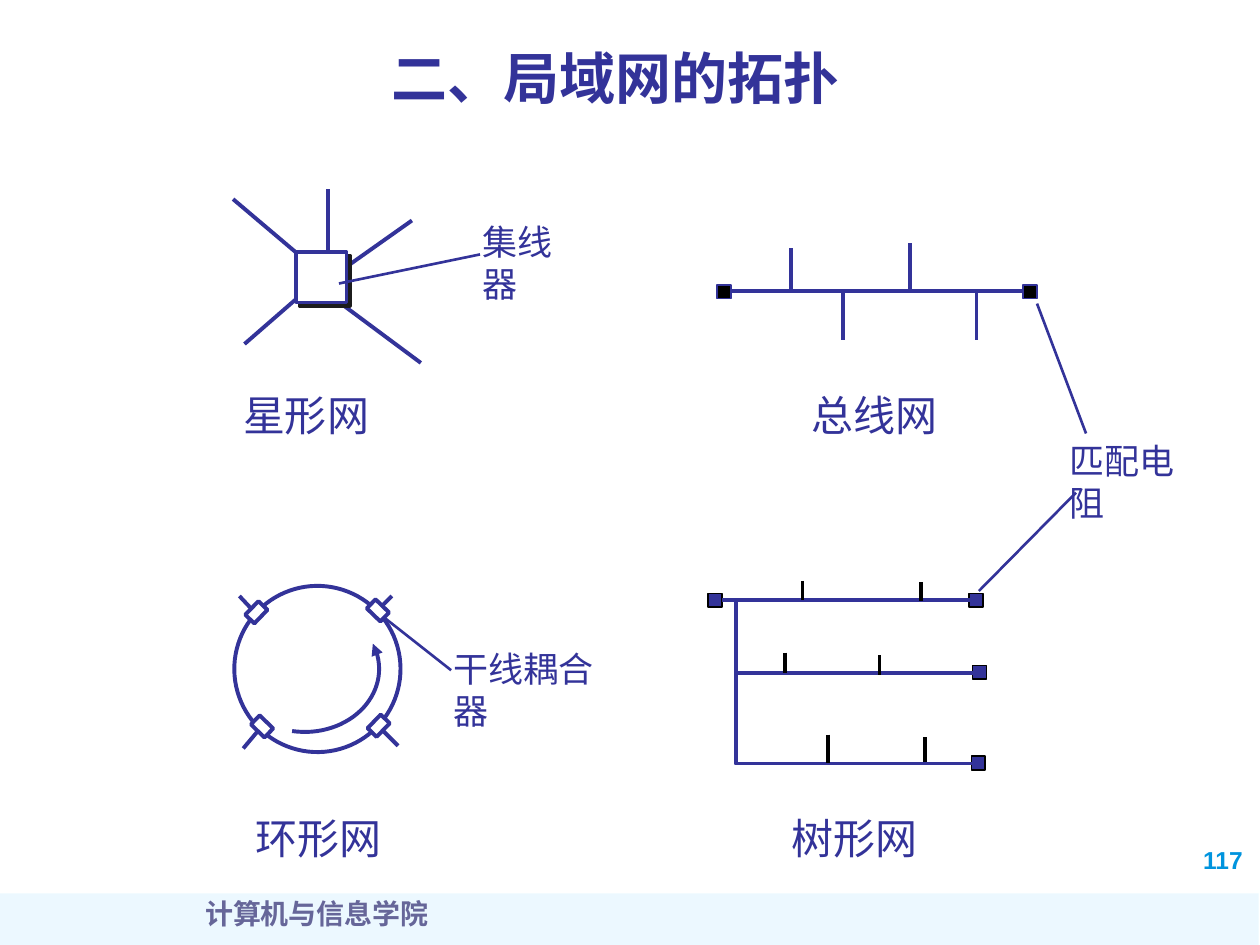
import math
from dataclasses import dataclass

import pptx
import pptx.dml.color
import pptx.enum.shapes
import pptx.enum.text
import pptx.oxml
import pptx.oxml.ns
import pptx.util
from lxml import etree

Pt = pptx.util.Pt
RGB = pptx.dml.color.RGBColor
SHAPE = pptx.enum.shapes.MSO_SHAPE
ALIGN = pptx.enum.text.PP_ALIGN
ANCHOR = pptx.enum.text.MSO_ANCHOR
qn = pptx.oxml.ns.qn

NAVY = RGB(0x33, 0x33, 0x99)
BLACK = RGB(0x00, 0x00, 0x00)
WHITE = RGB(0xFF, 0xFF, 0xFF)
BAND = RGB(0xA7, 0xE2, 0xFF)
SLATE = RGB(0x66, 0x66, 0x99)
SKY = RGB(0x00, 0x94, 0xDE)
SERIF, SANS, CJK = "Times New Roman", "Arial", "Noto Sans CJK SC"


@dataclass
class Line:
    x1: float
    y1: float
    x2: float
    y2: float
    width: float = 2.25
    color: RGB = NAVY


@dataclass
class Box:
    x: float
    y: float
    w: float
    h: float
    fill: RGB = WHITE
    line: RGB = NAVY
    width: float = 2.25
    rotation: float = 0
    kind: SHAPE = SHAPE.RECTANGLE


@dataclass
class Label:
    text: str
    x: float
    y: float
    w: float
    h: float
    size: float
    font: str = SERIF
    color: RGB = NAVY
    bold: bool = False
    align: ALIGN = ALIGN.LEFT
    right_inset: float = 7.2


def add_line(s, ln: Line):
    cx = s.shapes.add_connector(pptx.enum.shapes.MSO_CONNECTOR.STRAIGHT,
                                Pt(ln.x1), Pt(ln.y1), Pt(ln.x2), Pt(ln.y2))
    cx.line.color.rgb = ln.color
    cx.line.width = Pt(ln.width)
    etree.SubElement(cx._element.spPr, qn("a:effectLst"))


def add_box(s, b: Box):
    sp = s.shapes.add_shape(b.kind, Pt(b.x), Pt(b.y), Pt(b.w), Pt(b.h))
    sp.shadow.inherit = False
    sp.fill.solid()
    sp.fill.fore_color.rgb = b.fill
    sp.line.color.rgb = b.line
    sp.line.width = Pt(b.width)
    sp.rotation = b.rotation
    return sp


def format_text(tf, font: str, size: float, color: RGB, bold: bool, align: ALIGN):
    p = tf.paragraphs[0]
    p.alignment = align
    r = p.runs[0]
    r.font.name, r.font.size, r.font.bold = font, Pt(size), bold
    r.font.color.rgb = color
    etree.SubElement(r.font._element, qn("a:ea"), typeface=CJK)
    return r


def add_label(s, lb: Label):
    tf = s.shapes.add_textbox(Pt(lb.x), Pt(lb.y), Pt(lb.w), Pt(lb.h)).text_frame
    tf.word_wrap = True
    tf.margin_right = Pt(lb.right_inset)
    tf.text = lb.text
    format_text(tf, lb.font, lb.size, lb.color, lb.bold, lb.align)


def add_shadow(effects, blur: float, dist: float, color: RGB, alpha: int):
    shadow = etree.SubElement(effects, qn("a:outerShdw"), blurRad=str(Pt(blur)),
                              dist=str(Pt(dist)), dir="2700000", algn="tl", rotWithShape="0")
    clr = etree.SubElement(shadow, qn("a:srgbClr"), val=str(color))
    etree.SubElement(clr, qn("a:alpha"), val=str(alpha * 1000))


def add_arc_arrow(s, cx: float, cy: float, rx: float, ry: float, start: float, end: float):
    steps = 32
    angles = [math.radians(start + (end - start) * i / steps) for i in range(steps + 1)]
    pts = [(Pt(cx + rx * math.cos(a)), Pt(cy + ry * math.sin(a))) for a in angles]
    fb = s.shapes.build_freeform(*pts[0])
    fb.add_line_segments(pts[1:], close=False)
    sp = fb.convert_to_shape()
    sp.shadow.inherit = False
    sp.fill.background()
    sp.line.color.rgb = NAVY
    sp.line.width = Pt(2.25)
    etree.SubElement(sp.line._get_or_add_ln(), qn("a:tailEnd"), type="triangle")


def draw_frame(s):
    band = add_box(s, Box(-0.7, 510.5, 720, 31.7, fill=BAND))
    band.line.fill.background()
    clr = band._element.spPr.find(qn("a:solidFill"))[0]
    etree.SubElement(clr, qn("a:alpha"), val="21000")
    add_label(s, Label("117", 680.4, 479.5, 42.5, 23.8, 14, SANS, SKY, True))
    add_label(s, Label("计算机与信息学院", 19.4, 509, 323.3, 36, 16, SERIF, SLATE, True, ALIGN.CENTER))

    title = s.shapes.title
    title.left, title.top, title.width, title.height = Pt(76.3), Pt(17.3), Pt(558), Pt(54)
    tf = title.text_frame
    tf.text = "二、局域网的拓扑 "
    tf.vertical_anchor = ANCHOR.MIDDLE
    r = format_text(tf, SERIF, 32, NAVY, True, ALIGN.CENTER)
    effects = pptx.oxml.parse_xml(
        '<a:effectLst xmlns:a="http://schemas.openxmlformats.org/drawingml/2006/main"/>')
    add_shadow(effects, 1, 2, BLACK, 40)
    r.font._element.find(qn("a:solidFill")).addnext(effects)


def draw_star(s):
    for ends in [(175.7, 149.8, 133.2, 113.8), (187.2, 149.8, 187.2, 108),
                 (172.8, 167.8, 139.7, 196.6), (187.2, 167.8, 240.5, 207.4),
                 (193.7, 155.5, 235.4, 126)]:
        add_line(s, Line(*ends))
    hub = add_box(s, Box(169.2, 144, 28.8, 28.8, width=2))
    add_shadow(hub._element.spPr.find(qn("a:effectLst")), 0, 2.8, RGB(0x1C, 0x1C, 0x1C), 100)
    add_line(s, Line(193.7, 162, 274.3, 145.4, 1.5))


def draw_bus(s):
    add_line(s, Line(418.3, 166.3, 588.2, 166.3))
    for x in (584.6, 409.7):
        add_box(s, Box(x, 162.7, 7.9, 7.9, BLACK, NAVY, 1))
    for x, y in [(452.2, 141.8), (481.7, 194.4), (519.8, 139), (558, 194.4)]:
        add_line(s, Line(x, 167.4, x, y))


def draw_tree(s):
    for x, y in [(555.1, 432), (553.7, 339.1), (555.8, 380.2), (404.6, 339.1)]:
        add_box(s, Box(x, y, 7.9, 7.9, NAVY, BLACK, 1))
    add_line(s, Line(412.6, 342.7, 555.8, 342.7))
    add_line(s, Line(421.9, 384.5, 561.6, 384.5))
    fb = s.shapes.build_freeform(Pt(420.5), Pt(343.4))
    fb.add_line_segments([(Pt(420.5), Pt(436.3)), (Pt(557.3), Pt(436.3))], close=False)
    trunk = fb.convert_to_shape()
    trunk.shadow.inherit = False
    trunk.fill.background()
    trunk.line.color.rgb = NAVY
    trunk.line.width = Pt(2.25)
    for x, top, bottom in [(458.6, 331.9, 342.7), (526.3, 332.6, 343.4), (448.6, 373, 384.5),
                           (502.6, 374.4, 385.9), (473, 419.8, 436.3), (528.5, 421.2, 435.6)]:
        add_line(s, Line(x, top, x, bottom, color=BLACK))


def draw_ring(s):
    for ends in [(146.2, 350.6, 136.8, 340.6), (223.9, 340.6, 215.3, 349.2),
                 (227.5, 426.2, 216.7, 415.4), (146.9, 418.3, 139, 427.7)]:
        add_line(s, Line(*ends))
    add_box(s, Box(133.9, 334.8, 95, 95, rotation=314, kind=SHAPE.OVAL))
    long, short = 10.8, 7.2
    for x, y, w, h in [(141.1, 346.3, long, short), (211, 411.1, long, short),
                       (212.4, 343.4, short, long), (146.2, 409.7, short, long)]:
        add_box(s, Box(x, y, w, h, rotation=314))
    add_line(s, Line(220.3, 353.5, 257.8, 383, 1.5))
    add_arc_arrow(s, 174.2, 382.3, 42.5, 36, 99.8, -23.7)


def draw_labels(s):
    for text, x, y, w in [("匹配电阻", 604.1, 247.7, 94), ("集线器", 268.6, 122.4, 74),
                          ("干线耦合器", 252, 366.5, 114)]:
        add_label(s, Label(text, x, y, w, 31, 20))
    for text, x, y in [("总线网", 456.5, 218.9), ("星形网", 131.8, 218.9),
                       ("树形网", 445, 460.8), ("环形网", 139, 460.8)]:
        add_label(s, Label(text, x, y, 86.4, 36, 24, CJK, right_inset=0))
    # Callouts to the matching resistors
    add_line(s, Line(592.6, 173.5, 620.6, 247.7, 1.5))
    add_line(s, Line(614.9, 281.5, 559.4, 337.7, 1.5))


def main():
    prs = pptx.Presentation()
    prs.slide_width, prs.slide_height = Pt(720), Pt(540)
    s = prs.slides.add_slide(prs.slide_layouts[5])
    for draw in (draw_frame, draw_star, draw_bus, draw_tree, draw_ring, draw_labels):
        draw(s)
    prs.save("out.pptx")


if __name__ == "__main__":
    main()
